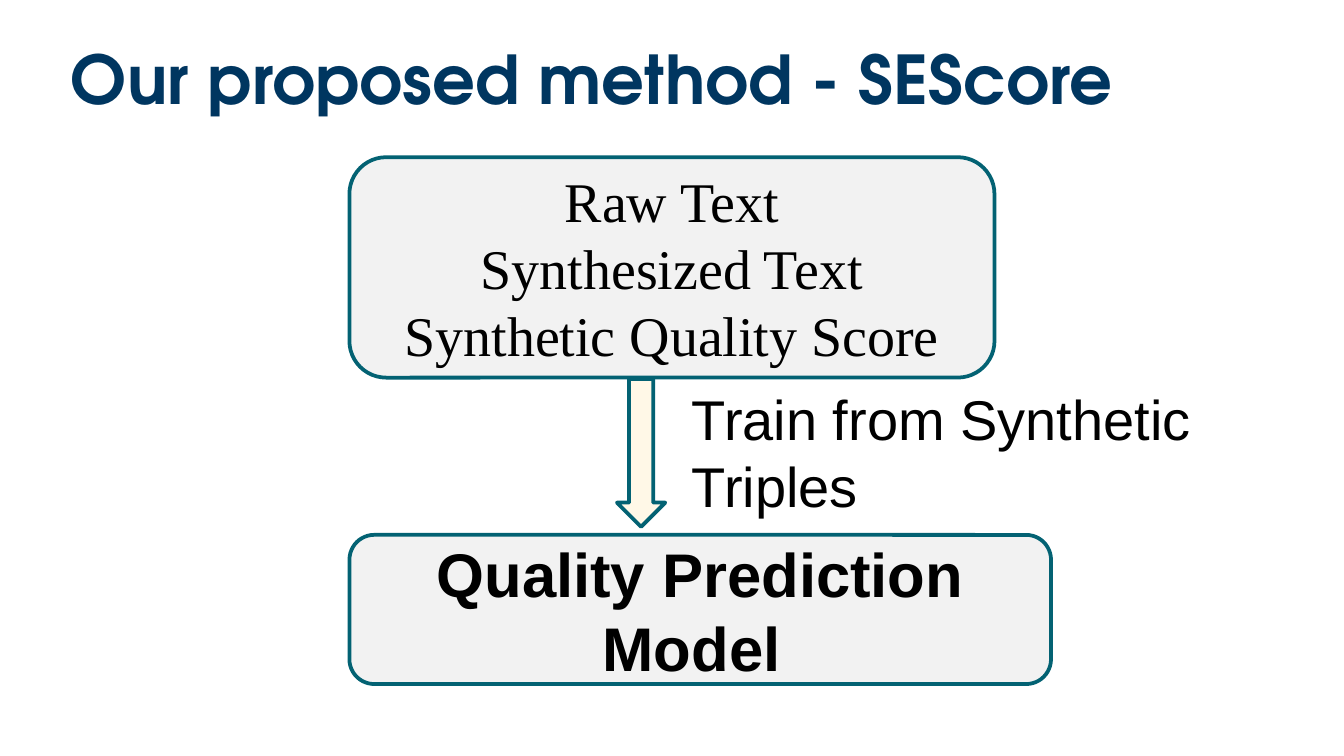
from pptx import Presentation
from pptx.dml.color import RGBColor
from pptx.enum.shapes import MSO_SHAPE as Shape
from pptx.enum.text import MSO_ANCHOR as Anchor, PP_ALIGN as Align
from pptx.util import Inches, Pt

NAVY, TEAL, BLACK = "003660", "036273", "000000"
GRAY, CREAM = "F2F2F2", "FFF8E7"


def color(value):
    return RGBColor.from_string(value)


def write(frame, lines, size, font="Arial", ink=BLACK, bold=False,
          align=Align.LEFT, anchor=Anchor.TOP, spacing=None):
    frame.word_wrap = True
    frame.vertical_anchor = anchor
    for i, line in enumerate(lines):
        paragraph = frame.paragraphs[0] if i == 0 else frame.add_paragraph()
        paragraph.text = line
        paragraph.alignment = align
        paragraph.line_spacing = spacing
        paragraph.font.name = font
        paragraph.font.size = Pt(size)
        paragraph.font.bold = bold
        paragraph.font.color.rgb = color(ink)


def add_label(slide, box, lines, size, **style):
    label = slide.shapes.add_textbox(*map(Inches, box))
    write(label.text_frame, lines, size, **style)


def add_outlined(slide, kind, box, fill):
    outlined = slide.shapes.add_shape(kind, *map(Inches, box))
    outlined.shadow.inherit = False
    outlined.fill.solid()
    outlined.fill.fore_color.rgb = color(fill)
    outlined.line.color.rgb = color(TEAL)
    outlined.line.width = Pt(2)
    return outlined


def add_stage(slide, box, lines, size, **style):
    stage = add_outlined(slide, Shape.ROUNDED_RECTANGLE, box, GRAY)
    write(stage.text_frame, lines, size, align=Align.CENTER,
          anchor=Anchor.MIDDLE, **style)


def add_training_flow(slide, box):
    left, top, width, height = box
    model_height = 1.11
    add_label(slide, (left + 2.45, top + 1.64, width, model_height),
              ["Train from Synthetic Triples"], 30)
    add_stage(slide, (left, top, 4.8, 1.64),
              ["Raw Text", "Synthesized Text", "Synthetic Quality Score"],
              30, font="Times New Roman")
    arrow = add_outlined(slide, Shape.RIGHT_ARROW,
                         (left + 1.62, top + 2.02, 1.1, 0.36), CREAM)
    arrow.rotation = 90
    add_stage(slide, (left, top + height - model_height, width, model_height),
              ["Quality Prediction Model "], 33, bold=True)


def main():
    deck = Presentation()
    deck.slide_width = Inches(10)
    deck.slide_height = deck.slide_width * 9 // 16
    slide = deck.slides.add_slide(deck.slide_layouts[6])
    add_label(slide, (0.43, 0.3, 9.14, 0.49),
              ["Our proposed method - SEScore"], 36,
              font="TeX Gyre Adventor", ink=NAVY, bold=True, spacing=0.9)
    add_training_flow(slide, (2.6, 1.17, 5.22, 3.92))
    deck.save("out.pptx")


if __name__ == "__main__":
    main()
